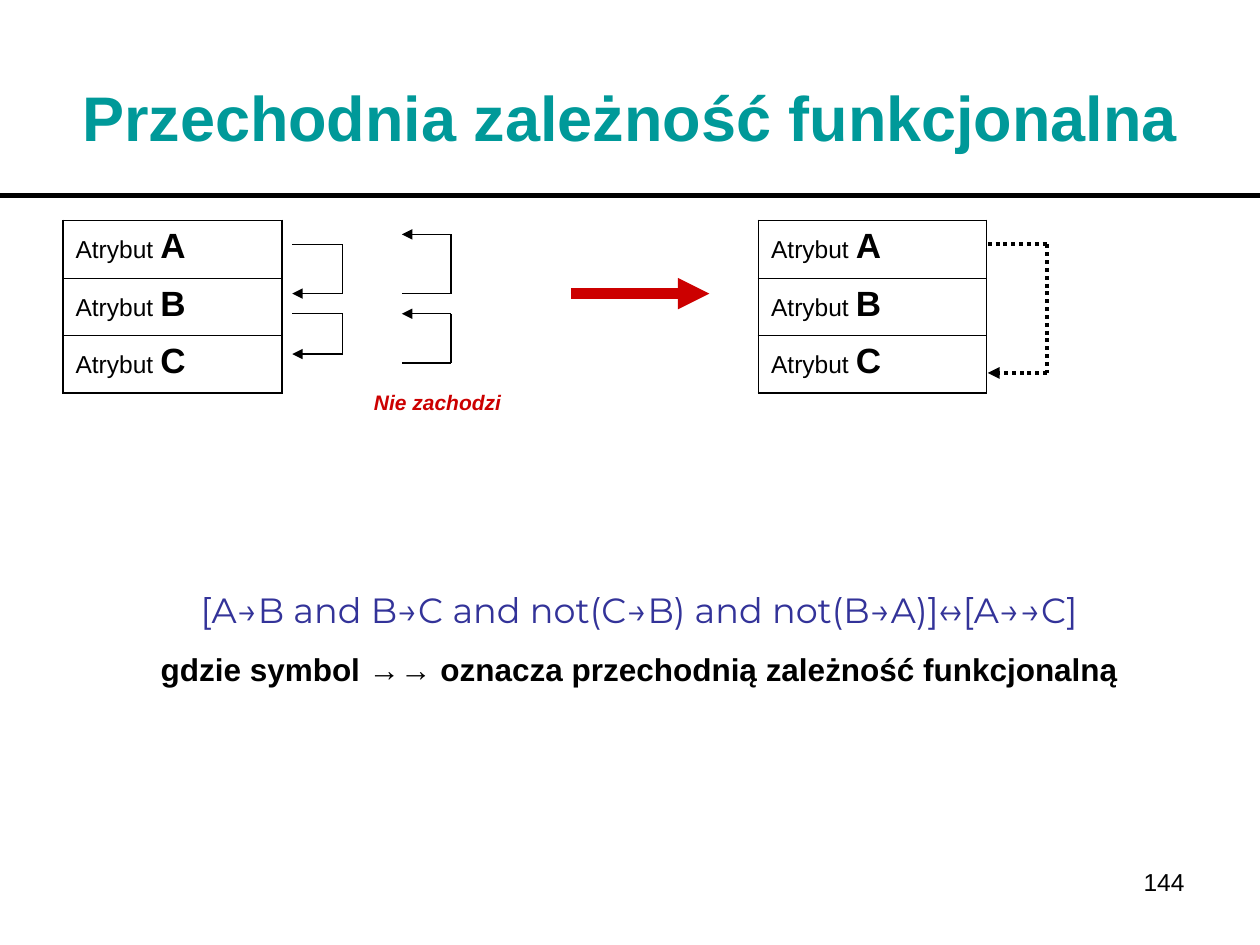
from lxml.etree import SubElement as Sub
from pptx import Presentation
from pptx.dml.color import RGBColor
from pptx.enum.dml import MSO_LINE as Dash
from pptx.enum.shapes import MSO_CONNECTOR as Conn
from pptx.enum.text import MSO_ANCHOR as Anchor, PP_ALIGN as Align
from pptx.oxml import parse_xml
from pptx.oxml.ns import nsdecls, qn
from pptx.util import Inches, Pt

BLACK, RED, TEAL, BLUE = "000000", "CC0000", "009999", "333399"
TITLE = "Przechodnia zależność funkcjonalna"
ROWS = ["A", "B", "C"]
TABLES = [(0.5, 1.74), (6.02, 1.81)]
TOP, ROW = 1.75, 0.457
THIN, DOT = (BLACK, 0.75, None), (BLACK, 2.25, Dash.ROUND_DOT)
HOOKS = [
    (2.32, 2.72, 1.94, 2.33, THIN),
    (2.32, 2.72, 2.49, 2.81, THIN),
    (3.19, 3.58, 2.33, 1.86, THIN),
    (3.19, 3.58, 2.88, 2.49, THIN),
    (7.84, 8.31, 1.94, 2.96, DOT),
]
LEFT, MID, RIGHT = Align.LEFT, Align.CENTER, Align.RIGHT
TEXTS = [
    ((2.87, 3.04, 1.57, 0.3), LEFT, [("Nie zachodzi", 12, RED, True, True, "Arial")]),
    ((0.51, 4.62, 9.13, 0.89), MID, [
        ("[A→B and B→C and not(C→B) and not(B→A)]↔[A→→C]", 20, BLUE, False, False, "Montserrat"),
        ("gdzie symbol →→ oznacza przechodnią zależność funkcjonalną", 18, BLACK, True, False, "Arial"),
    ]),
    ((7.17, 6.83, 2.33, 0.52), RIGHT, [("144", 14, BLACK, False, False, "Arial")]),
]


def rgb(code):
    return RGBColor.from_string(code)


def style(font, size, color, bold=False, ital=False, name="Arial"):
    font.size, font.bold, font.italic, font.name = Pt(size), bold, ital, name
    font.color.rgb = rgb(color)


def draw(slide, start, end, look, head=False):
    color, width, dash = look
    line = slide.shapes.add_connector(Conn.STRAIGHT, *map(Inches, start + end))
    line.line.color.rgb = rgb(color)
    line.line.width = Pt(width)
    if dash:
        line.line.dash_style = dash
    props = line._element.spPr
    if head:
        Sub(props.find(qn("a:ln")), qn("a:tailEnd"), type="triangle")
    Sub(props, qn("a:effectLst"))


def hook(slide, x, bend, y, end, look):
    spots = [(x, y), (bend, y), (bend, end), (x, end)]
    for i in range(3):
        draw(slide, spots[i], spots[i + 1], look, i == 2)


def border(cell, row):
    cell.fill.background()
    top = 1.08 if row == 0 else 0.45
    base = 1.08 if row == len(ROWS) - 1 else 0.45
    sides = zip("LRTB", (1.08, 1.08, top, base))
    for i, (side, width) in enumerate(sides):
        cell._tc.get_or_add_tcPr().insert(i, parse_xml(
            f'<a:ln{side} {nsdecls("a")} w="{Pt(width)}"><a:solidFill>'
            f'<a:srgbClr val="{BLACK}"/></a:solidFill></a:ln{side}>'))


def grid(slide, x, width):
    box = map(Inches, (x, TOP, width, ROW * len(ROWS)))
    table = slide.shapes.add_table(len(ROWS), 1, *box).table
    table.first_row = table.horz_banding = False
    for i, name in enumerate(ROWS):
        cell = table.cell(i, 0)
        para = cell.text_frame.paragraphs[0]
        for text, size, bold in (("Atrybut ", 14, False), (name, 20, True)):
            run = para.add_run()
            run.text = text
            style(run.font, size, BLACK, bold)
        border(cell, i)


def write(slide, box, align, lines):
    frame = slide.shapes.add_textbox(*map(Inches, box)).text_frame
    frame.word_wrap = True
    for i, (text, *look) in enumerate(lines):
        para = frame.add_paragraph() if i else frame.paragraphs[0]
        para.text, para.alignment = text, align
        if i:
            para.space_before = Pt(11.2)
        style(para.font, *look)


def head(slide):
    title = slide.shapes.title
    title.left, title.top, title.width, title.height = map(Inches, (0.5, 0.3, 9, 1.25))
    frame = title.text_frame
    frame.text = TITLE
    frame.word_wrap, frame.vertical_anchor = True, Anchor.MIDDLE
    para = frame.paragraphs[0]
    para.alignment = MID
    style(para.font, 36, TEAL, True)


def main():
    """Build the slide on transitive functional dependency."""
    deck = Presentation()
    deck.slide_width, deck.slide_height = Inches(10), Inches(7.5)
    slide = deck.slides.add_slide(deck.slide_layouts[5])
    head(slide)
    draw(slide, (0, 1.55), (10, 1.55), (BLACK, 3, None))
    for spot in TABLES:
        grid(slide, *spot)
    for item in HOOKS:
        hook(slide, *item)
    draw(slide, (4.53, 2.33), (5.63, 2.33), (RED, 6, None), True)
    for item in TEXTS:
        write(slide, *item)
    deck.save("out.pptx")


if __name__ == "__main__":
    main()
